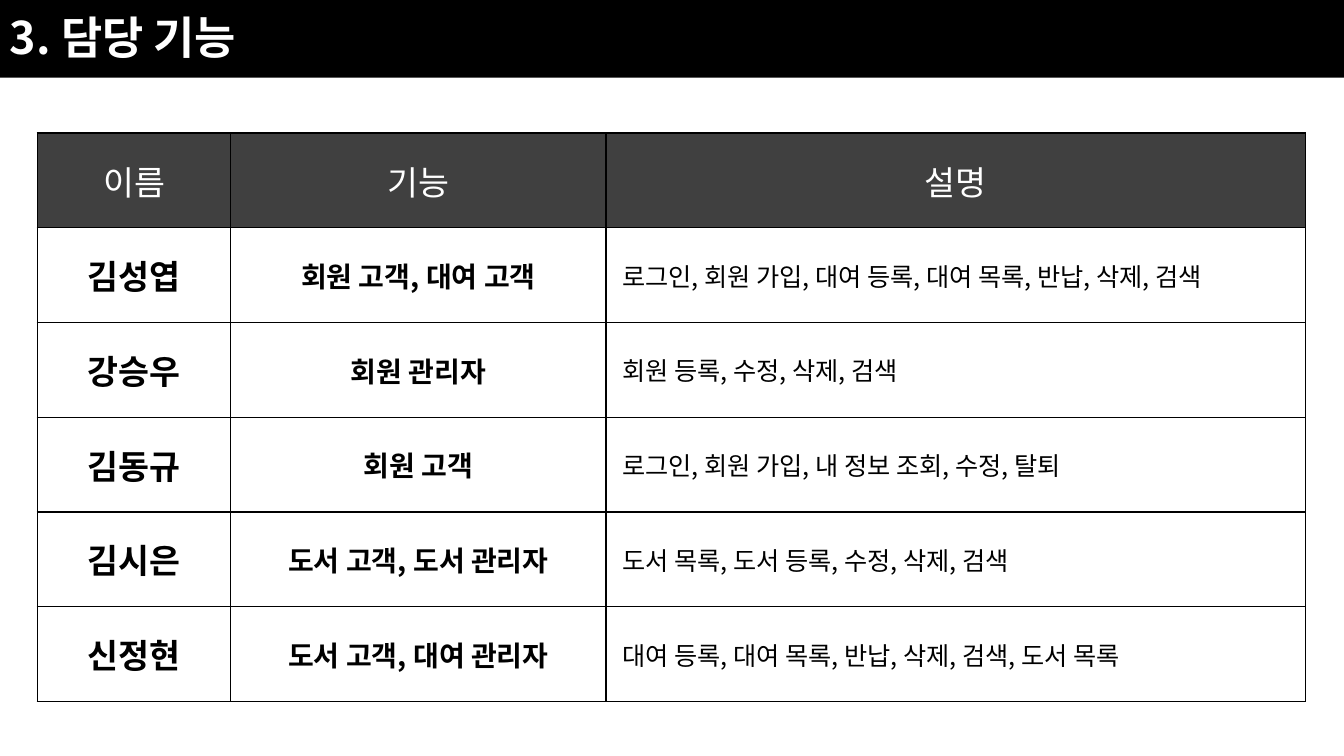
"""Build the slide that lists each member's functions."""
import pptx
import pptx.util
import pptx.dml.color
import pptx.enum.shapes
import pptx.enum.text
import pptx.oxml
import pptx.oxml.ns

RGBColor = pptx.dml.color.RGBColor
BLACK = RGBColor(0x00, 0x00, 0x00)
WHITE = RGBColor(0xFF, 0xFF, 0xFF)
GRAY = RGBColor(0x40, 0x40, 0x40)
FONT = "Noto Sans CJK KR"
WIDTH, HEIGHT = 13.33, 7.5
LEFT, TOP, ROW_HEIGHT = 0.37, 1.32, 0.94
COLUMNS = [1.92, 3.72, 6.94]
TITLE = "3. 담당 기능"
HEADERS = ["이름", "기능", "설명"]
MEMBERS = [
    ["김성엽", "회원 고객, 대여 고객",
     "로그인, 회원 가입, 대여 등록, 대여 목록, 반납, 삭제, 검색"],
    ["강승우", "회원 관리자", "회원 등록, 수정, 삭제, 검색"],
    ["김동규", "회원 고객", "로그인, 회원 가입, 내 정보 조회, 수정, 탈퇴"],
    ["김시은", "도서 고객, 도서 관리자", "도서 목록, 도서 등록, 수정, 삭제, 검색"],
    ["신정현", "도서 고객, 대여 관리자",
     "대여 등록, 대여 목록, 반납, 삭제, 검색, 도서 목록"],
]
CENTER = pptx.enum.text.PP_ALIGN.CENTER
ALIGN_LEFT = pptx.enum.text.PP_ALIGN.LEFT
HEADER_STYLE = dict(size=24, color=WHITE, align=CENTER)
COLUMN_STYLES = [
    dict(size=24, bold=True, align=CENTER),
    dict(size=20, bold=True, align=CENTER),
    dict(size=18),
]


def write_text(tf, text, size, color=BLACK, bold=False, align=ALIGN_LEFT):
    p = tf.paragraphs[0]
    p.alignment = align
    r = p.add_run()
    r.text = text
    r.font.size = pptx.util.Pt(size)
    r.font.bold = bold
    r.font.color.rgb = color
    r.font.name = FONT
    ea = pptx.oxml.parse_xml(
        f'<a:ea {pptx.oxml.ns.nsdecls("a")} typeface="{FONT}"/>')
    r.font._element.append(ea)


def add_borders(cell):
    tc_pr = cell._tc.get_or_add_tcPr()
    for i, side in enumerate(("lnL", "lnR", "lnT", "lnB")):
        tc_pr.insert(i, pptx.oxml.parse_xml(
            f'<a:{side} {pptx.oxml.ns.nsdecls("a")} w="12700"><a:solidFill>'
            f'<a:srgbClr val="{BLACK}"/></a:solidFill></a:{side}>'))


def add_title_bar(s):
    sp = s.shapes.add_shape(
        pptx.enum.shapes.MSO_SHAPE.RECTANGLE, 0, 0,
        pptx.util.Inches(WIDTH), pptx.util.Inches(0.77))
    sp.shadow.inherit = False
    sp.fill.solid()
    sp.fill.fore_color.rgb = BLACK
    sp.line.fill.background()
    tf = sp.text_frame
    tf.word_wrap = True
    tf.vertical_anchor = pptx.enum.text.MSO_ANCHOR.TOP
    tf.margin_left = tf.margin_right = pptx.util.Inches(0.1)
    tf.margin_top = tf.margin_bottom = pptx.util.Inches(0.1)
    write_text(tf, TITLE, size=32, color=WHITE, bold=True)


def fill_cell(cell, text, fill, style):
    cell.fill.solid()
    cell.fill.fore_color.rgb = fill
    cell.vertical_anchor = pptx.enum.text.MSO_ANCHOR.MIDDLE
    if "align" not in style:
        cell.margin_left = pptx.util.Inches(0.16)
    write_text(cell.text_frame, text, **style)
    add_borders(cell)


def add_member_table(s):
    rows = [HEADERS] + MEMBERS
    table = s.shapes.add_table(
        len(rows), len(COLUMNS), pptx.util.Inches(LEFT), pptx.util.Inches(TOP),
        pptx.util.Inches(sum(COLUMNS)),
        pptx.util.Inches(ROW_HEIGHT * len(rows))).table
    for column, width in zip(table.columns, COLUMNS):
        column.width = pptx.util.Inches(width)
    for i, texts in enumerate(rows):
        for j, text in enumerate(texts):
            fill = WHITE if i else GRAY
            style = COLUMN_STYLES[j] if i else HEADER_STYLE
            fill_cell(table.cell(i, j), text, fill, style)


def main():
    prs = pptx.Presentation()
    prs.slide_width = pptx.util.Inches(WIDTH)
    prs.slide_height = pptx.util.Inches(HEIGHT)
    s = prs.slides.add_slide(prs.slide_layouts[6])
    add_member_table(s)
    add_title_bar(s)
    prs.save("out.pptx")


if __name__ == "__main__":
    main()
